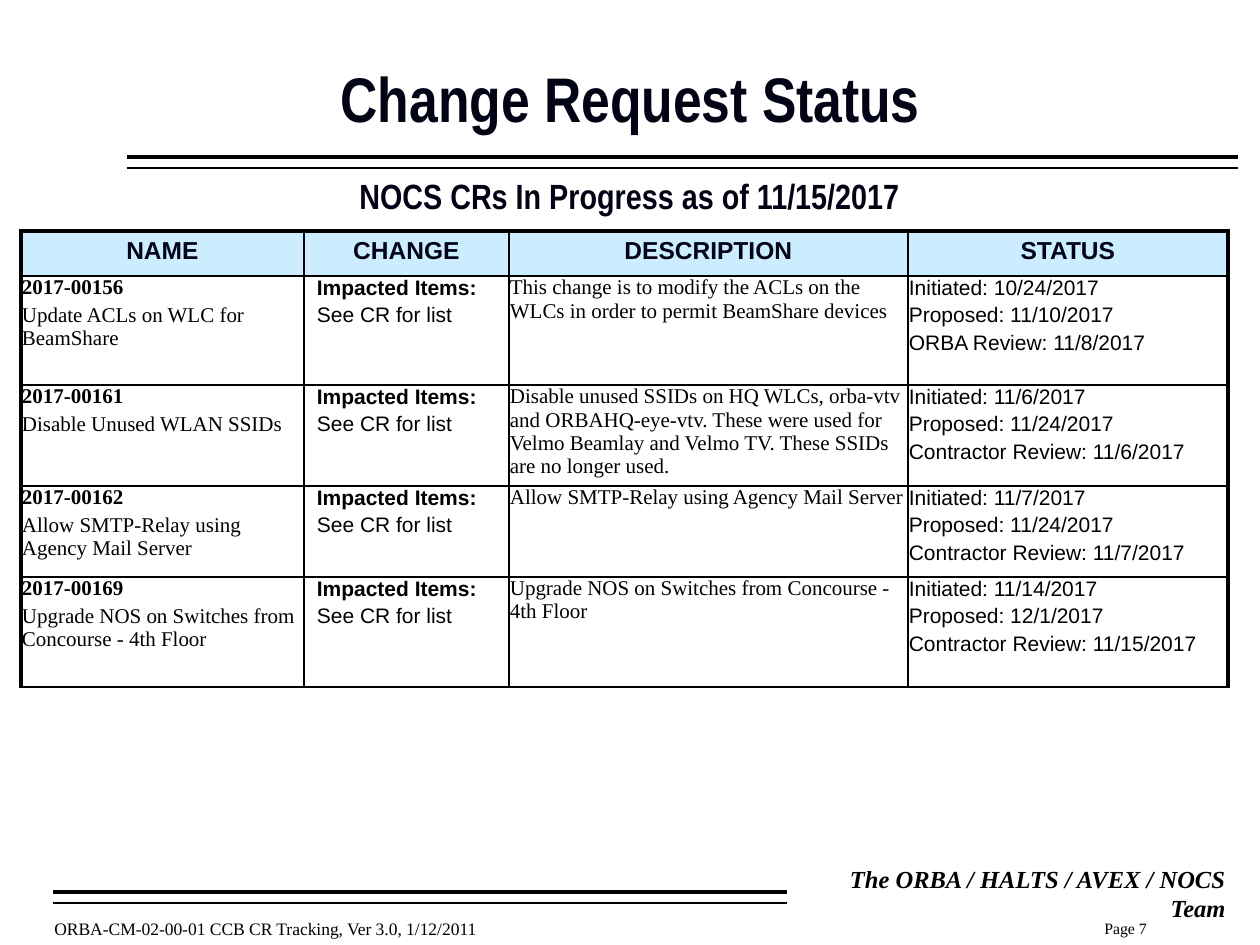
from lxml.etree import SubElement
from pptx import Presentation
from pptx.dml.color import RGBColor
from pptx.enum.shapes import MSO_CONNECTOR, MSO_SHAPE
from pptx.enum.text import PP_ALIGN
from pptx.oxml.ns import qn
from pptx.util import Pt

PX = 914400 // 126
COLORS = {"black": "000000", "navy": "020314", "header": "CCECFF", "white": "FFFFFF"}
SERIF, SANS, NARROW = "Times New Roman", "Arial", "Arial Narrow"
COL_WIDTHS = [283, 205, 399, 320]
ROW_HEIGHTS = [45, 109, 101, 91, 110]
HEADERS = ["NAME", "CHANGE", "DESCRIPTION", "STATUS"]
REQUESTS = [
    ("2017-00156", "Update ACLs on WLC for BeamShare",
     "This change is to modify the ACLs on the WLCs in order to permit BeamShare devices",
     ["Initiated: 10/24/2017", "Proposed: 11/10/2017", "ORBA Review: 11/8/2017"]),
    ("2017-00161", "Disable Unused WLAN SSIDs",
     "Disable unused SSIDs on HQ WLCs, orba-vtv and ORBAHQ-eye-vtv. These were used for "
     "Velmo Beamlay and Velmo TV. These SSIDs are no longer used.",
     ["Initiated: 11/6/2017", "Proposed: 11/24/2017", "Contractor Review: 11/6/2017"]),
    ("2017-00162", "Allow SMTP-Relay using Agency Mail Server",
     "Allow SMTP-Relay using Agency Mail Server",
     ["Initiated: 11/7/2017", "Proposed: 11/24/2017", "Contractor Review: 11/7/2017"]),
    ("2017-00169", "Upgrade NOS on Switches from Concourse - 4th Floor",
     "Upgrade NOS on Switches from Concourse - 4th Floor",
     ["Initiated: 11/14/2017", "Proposed: 12/1/2017", "Contractor Review: 11/15/2017"]),
]


def px(n):
    return n * PX


def rgb(name):
    return RGBColor.from_string(COLORS[name])


def style(p, size, font, color="black", bold=False, italic=False, align=PP_ALIGN.LEFT):
    p.alignment = align
    f = p.font
    f.size, f.name, f.bold, f.italic = Pt(size), font, bold, italic
    f.color.rgb = rgb(color)


def add_line(s, x1, x2, y, width):
    line = s.shapes.add_connector(MSO_CONNECTOR.STRAIGHT, px(x1), px(y), px(x2), px(y))
    line.line.color.rgb = rgb("black")
    line.line.width = Pt(width)
    SubElement(line._element.spPr, qn("a:effectLst"))


def add_text(s, box, text, size, font, **look):
    sp = s.shapes.add_textbox(*map(px, box))
    sp.text_frame.word_wrap = True
    p = sp.text_frame.paragraphs[0]
    p.text = text
    style(p, size, font, **look)


def add_team_name(s):
    sp = s.shapes.add_shape(MSO_SHAPE.RECTANGLE, *map(px, (787, 872, 451, 42)))
    sp.shadow.inherit = False
    sp.fill.solid()
    sp.fill.fore_color.rgb = rgb("white")
    sp.line.fill.background()
    p = sp.text_frame.paragraphs[0]
    p.text = "The ORBA / HALTS / AVEX / NOCS Team"
    style(p, 14, SERIF, bold=True, italic=True, align=PP_ALIGN.RIGHT)


def add_borders(cell, widths):
    tc_pr = cell._tc.get_or_add_tcPr()
    for i, (side, width) in enumerate(widths.items()):
        ln = tc_pr.makeelement(qn(f"a:ln{side}"), {"w": str(Pt(width))})
        fill = SubElement(ln, qn("a:solidFill"))
        SubElement(fill, qn("a:srgbClr"), val=COLORS["black"])
        tc_pr.insert(i, ln)


def fill_cell(cell, lines, font, bold_first=False, inset=1):
    cell.margin_left = cell.margin_right = px(inset)
    cell.margin_top = cell.margin_bottom = 0
    cell.fill.background()
    tf = cell.text_frame
    for i, text in enumerate(lines):
        p = tf.add_paragraph() if i else tf.paragraphs[0]
        p.text = text
        style(p, 12, font, bold=bold_first and i == 0)
        if i:
            p.space_before = Pt(2.4)


def fill_header(cell, text):
    cell.fill.solid()
    cell.fill.fore_color.rgb = rgb("header")
    p = cell.text_frame.paragraphs[0]
    p.text = text
    style(p, 14, SANS, "navy", bold=True, align=PP_ALIGN.CENTER)


def add_request_table(s):
    rows, cols = len(ROW_HEIGHTS), len(COL_WIDTHS)
    table = s.shapes.add_table(rows, cols, px(21), px(231),
                               px(sum(COL_WIDTHS)), px(sum(ROW_HEIGHTS))).table
    table.horz_banding = False
    for col, width in zip(table.columns, COL_WIDTHS):
        col.width = px(width)
    for row, height in zip(table.rows, ROW_HEIGHTS):
        row.height = px(height)
    for c, text in enumerate(HEADERS):
        fill_header(table.cell(0, c), text)
    for r, (number, name, description, status) in enumerate(REQUESTS, 1):
        fill_cell(table.cell(r, 0), [number, name], SERIF, bold_first=True)
        fill_cell(table.cell(r, 1), ["Impacted Items:", "See CR for list"], SANS,
                  bold_first=True, inset=13)
        fill_cell(table.cell(r, 2), [description], SERIF)
        fill_cell(table.cell(r, 3), status, SANS)
    for r in range(rows):
        for c in range(cols):
            add_borders(table.cell(r, c), {
                "L": 2.25 if c == 0 else 1,
                "R": 2.25 if c == cols - 1 else 1,
                "T": 2.25 if r == 0 else 1,
                "B": 1,
            })


def main():
    prs = Presentation()
    prs.slide_width, prs.slide_height = px(1260), px(945)
    s = prs.slides.add_slide(prs.slide_layouts[6])
    for x1, x2, y in ((127, 1238, 157), (53, 1218, 892)):
        add_line(s, x1, x2, y, 2)
        add_line(s, x1, x2, y + 11, 1)
    add_team_name(s)
    add_text(s, (42, 912, 472, 34), "ORBA-CM-02-00-01 CCB CR Tracking, Ver 3.0, 1/12/2011",
             10, SERIF)
    add_text(s, (1092, 913, 147, 32), "Page 7", 9, SERIF)
    heading = {"color": "navy", "bold": True, "align": PP_ALIGN.CENTER}
    add_text(s, (136, 168, 987, 55), "NOCS CRs In Progress as of 11/15/2017",
             20, NARROW, **heading)
    add_text(s, (237, 53, 787, 88), "Change Request Status", 36, NARROW, **heading)
    add_request_table(s)
    prs.save("out.pptx")


main()
